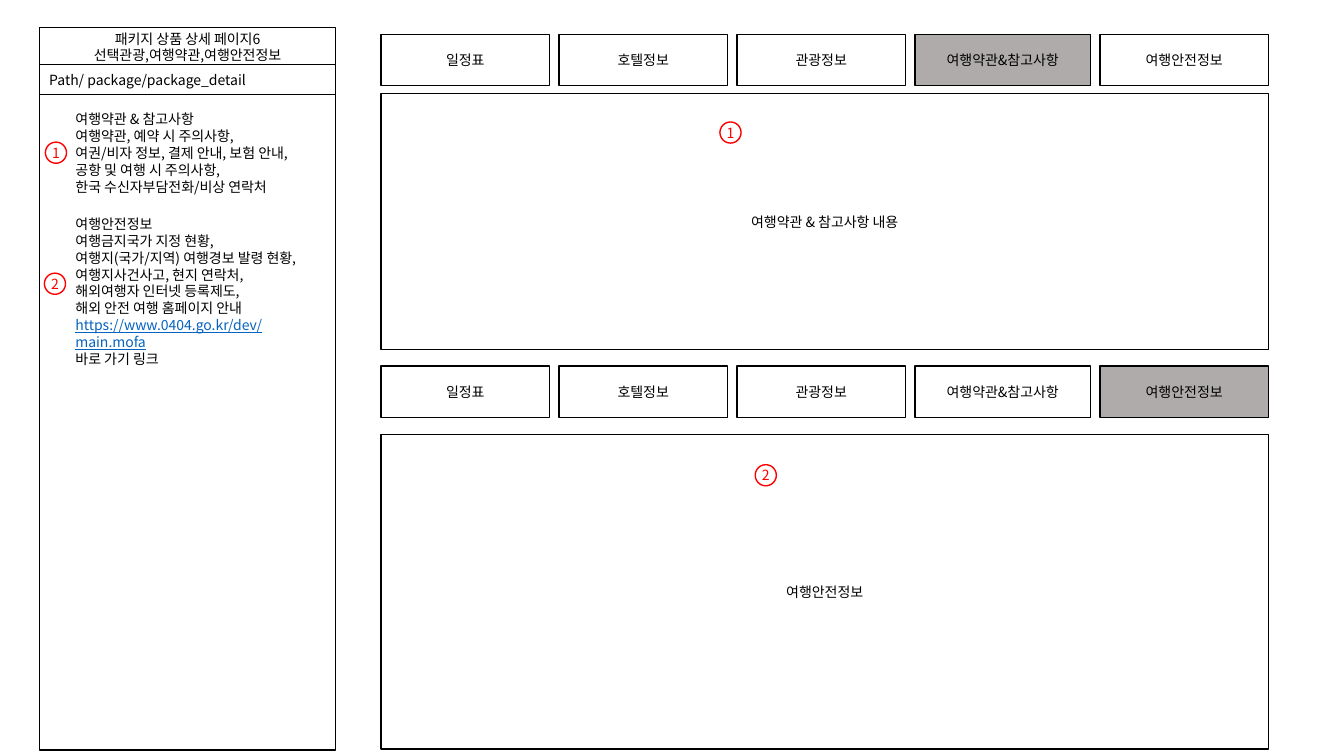
from lxml import etree
from pptx import Presentation
from pptx.dml.color import RGBColor
from pptx.enum.shapes import MSO_SHAPE
from pptx.enum.text import MSO_ANCHOR, PP_ALIGN
from pptx.oxml.ns import qn
from pptx.util import Inches, Pt

RECTANGLE, OVAL = MSO_SHAPE.RECTANGLE, MSO_SHAPE.OVAL
LEFT, CENTER = PP_ALIGN.LEFT, PP_ALIGN.CENTER
TOP, MIDDLE = MSO_ANCHOR.TOP, MSO_ANCHOR.MIDDLE

FONT = "Noto Sans CJK KR"
COLORS = {"white": "FFFFFF", "black": "000000", "red": "FF0000",
          "active": "AFABAB", "link": "0563C1"}

# The grid: square cells, 133.3 columns by 75 rows
CELL = Inches(0.1)
SIDEBAR_LEFT, SIDEBAR_WIDTH = 3.9, 29.4
CONTENT_LEFT, CONTENT_WIDTH = 37.8, 88
TAB_HEIGHT, MARKER_SIZE = 5.1, 2.1

TABS = [("일정표", 16.7), ("호텔정보", 16.7), ("관광정보", 16.7),
        ("여행약관&참고사항", 17.4), ("여행안전정보", 16.7)]
TAB_GAP = (CONTENT_WIDTH - sum(width for _, width in TABS)) / (len(TABS) - 1)

TERMS = ["여행약관 & 참고사항", "여행약관, 예약 시 주의사항,",
         "여권/비자 정보, 결제 안내, 보험 안내,", "공항 및 여행 시 주의사항,",
         "한국 수신자부담전화/비상 연락처"]
SAFETY = ["여행안전정보", "여행금지국가 지정 현황,",
          "여행지(국가/지역) 여행경보 발령 현황, 여행지사건사고, 현지 연락처,",
          "해외여행자 인터넷 등록제도,", "해외 안전 여행 홈페이지 안내",
          "https://www.0404.go.kr/dev/main.mofa", "바로 가기 링크"]


def rgb(name):
    return RGBColor.from_string(COLORS[name])


def cells(*counts):
    return [round(count * CELL) for count in counts]


def write(shape, lines, color="black", align=LEFT, anchor=MIDDLE):
    frame = shape.text_frame
    frame.word_wrap = True
    frame.vertical_anchor = anchor
    for index, line in enumerate(lines):
        paragraph = frame.paragraphs[0] if index == 0 else frame.add_paragraph()
        paragraph.alignment = align
        run = paragraph.add_run()
        run.text = line
        is_link = line.startswith("https://")
        run.font.size = Pt(10)
        run.font.name = FONT
        run.font.underline = is_link
        run.font.color.rgb = rgb("link" if is_link else color)
        east_asian = etree.SubElement(run.font._element, qn("a:ea"))
        east_asian.set("typeface", FONT)


def add_box(slide, position, lines=(), kind=RECTANGLE, fill="white",
            color="black", align=CENTER):
    shape = slide.shapes.add_shape(kind, *cells(*position))
    shape.shadow.inherit = False
    shape.fill.solid()
    shape.fill.fore_color.rgb = rgb(fill)
    shape.line.color.rgb = rgb(color)
    shape.line.width = Pt(1)
    write(shape, lines, color=color, align=align)
    return shape


def add_marker(slide, left, top, number):
    marker = add_box(slide, (left, top, MARKER_SIZE, MARKER_SIZE), [number],
                     kind=OVAL, color="red")
    frame = marker.text_frame
    frame.margin_left = frame.margin_right = 0
    frame.margin_top = frame.margin_bottom = 0


def add_note(slide, position, lines):
    note = slide.shapes.add_textbox(*cells(*position))
    write(note, lines, anchor=TOP)


def add_tabs(slide, top, active):
    left = CONTENT_LEFT
    for index, (label, width) in enumerate(TABS):
        add_box(slide, (left, top, width, TAB_HEIGHT), [label],
                fill="active" if index == active else "white")
        left += width + TAB_GAP


def main():
    presentation = Presentation()
    presentation.slide_width = Inches(13.33)
    presentation.slide_height = Inches(7.5)
    slide = presentation.slides.add_slide(presentation.slide_layouts[6])

    # Sidebar frame, title and path
    add_box(slide, (SIDEBAR_LEFT, 8.5, SIDEBAR_WIDTH, 65.9))
    add_box(slide, (SIDEBAR_LEFT, 2.7, SIDEBAR_WIDTH, 3.9),
            ["패키지 상품 상세 페이지6", "선택관광,여행약관,여행안전정보"])
    add_box(slide, (SIDEBAR_LEFT, 6.4, SIDEBAR_WIDTH, 3),
            ["Path/ package/package_detail"], align=LEFT)

    # Sidebar notes
    add_note(slide, (6.5, 10.5, 25.7, 9.4), TERMS)
    add_marker(slide, 4.5, 14.1, "1")
    add_note(slide, (6.5, 20.9, 27.3, 14.5), SAFETY)
    add_marker(slide, 4.4, 27.1, "2")

    # Terms page
    add_tabs(slide, 3.4, active=3)
    add_box(slide, (CONTENT_LEFT, 9.3, CONTENT_WIDTH, 25.4),
            ["여행약관 & 참고사항 내용"])
    add_marker(slide, 71.4, 12.1, "1")

    # Safety page
    add_tabs(slide, 36.3, active=4)
    add_box(slide, (CONTENT_LEFT, 43.1, CONTENT_WIDTH, 31.2), ["여행안전정보"])
    add_marker(slide, 74.9, 46.1, "2")

    presentation.save("out.pptx")


if __name__ == "__main__":
    main()
